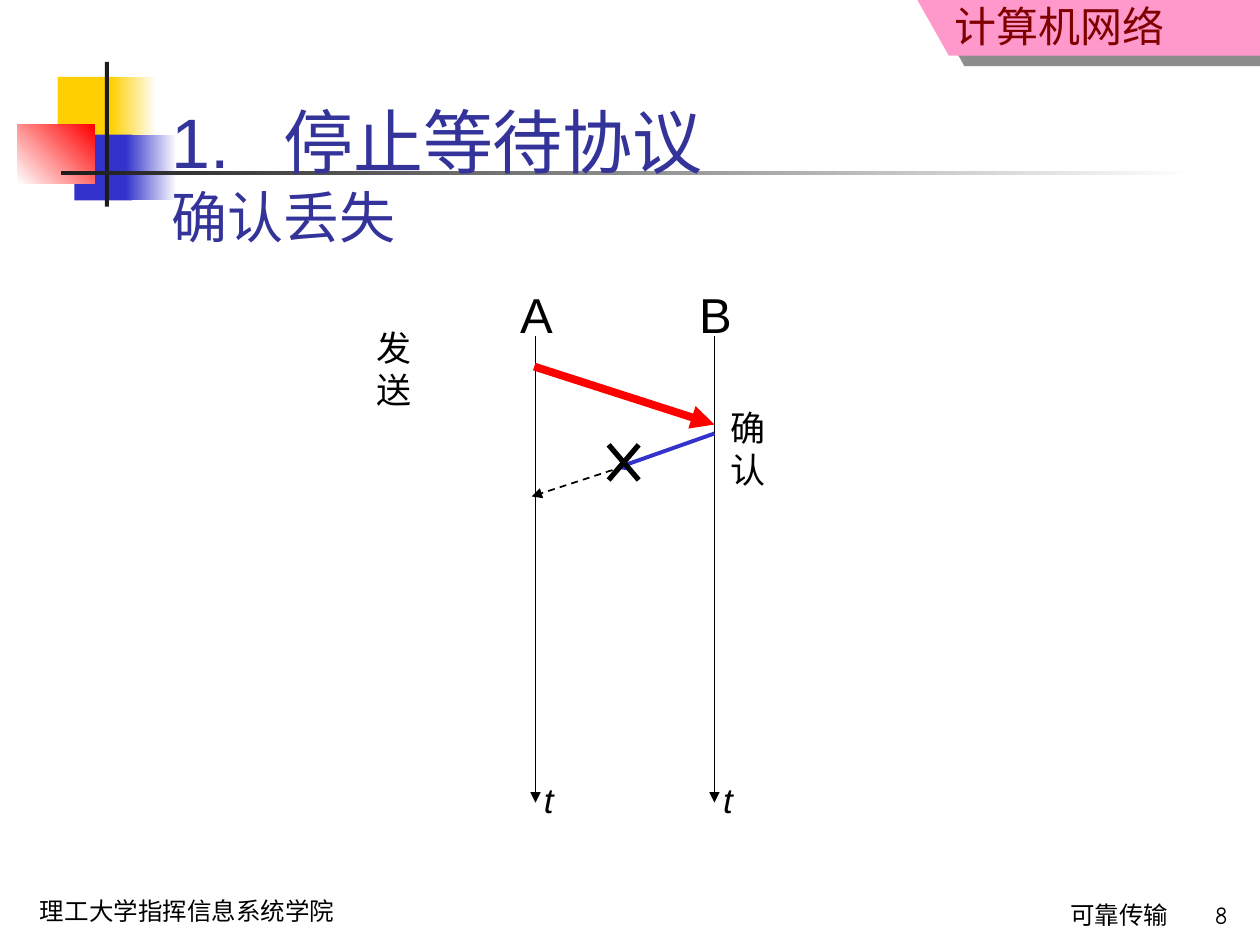
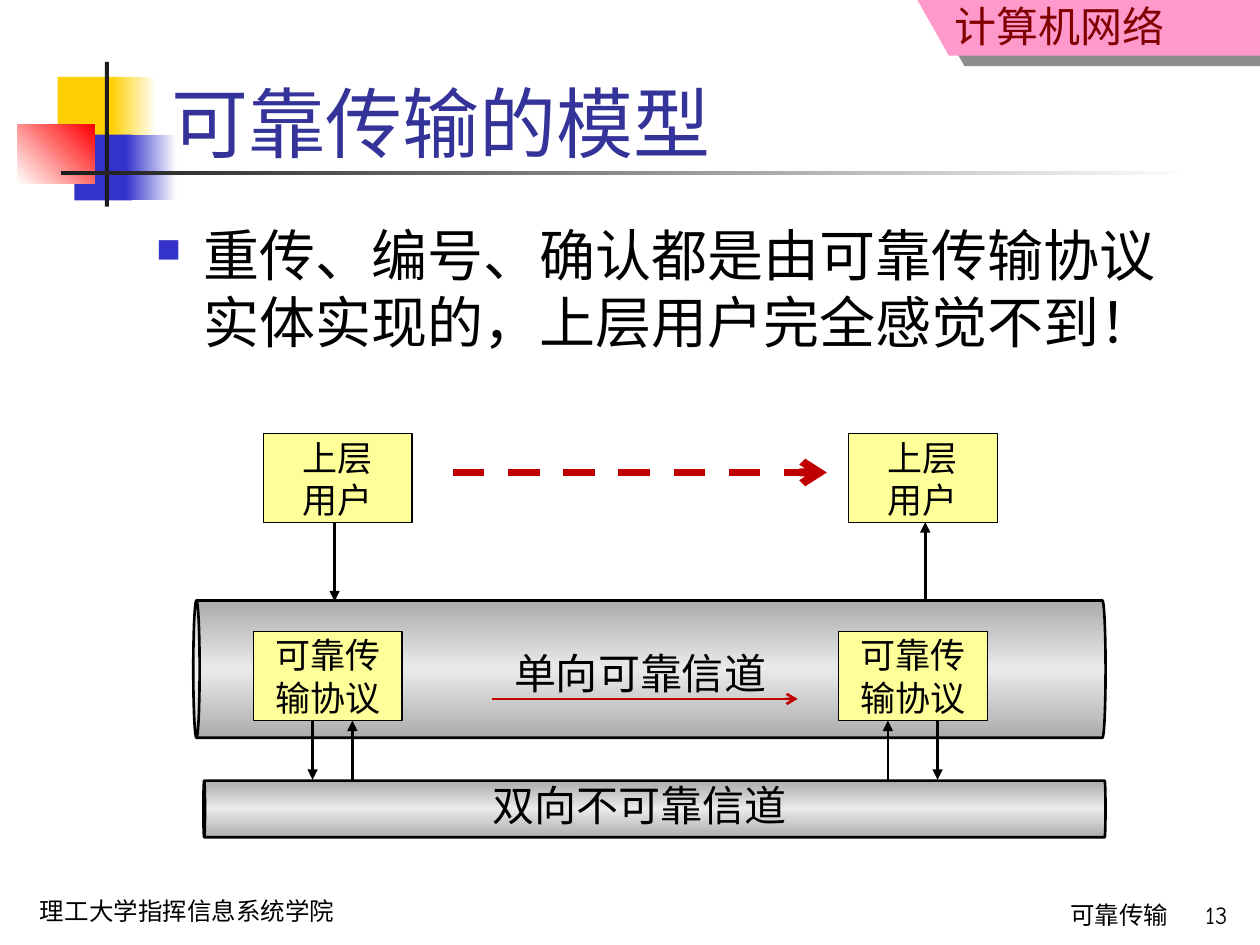
from copy import deepcopy

from lxml.etree import SubElement
from pptx import Presentation
from pptx.dml.color import RGBColor
from pptx.enum.dml import MSO_LINE
from pptx.enum.shapes import MSO_CONNECTOR, MSO_SHAPE
from pptx.enum.text import MSO_ANCHOR, PP_ALIGN
from pptx.oxml.ns import qn
from pptx.util import Pt

BLACK = RGBColor(0x00, 0x00, 0x00)
WHITE = RGBColor(0xFF, 0xFF, 0xFF)
CHARCOAL = RGBColor(0x1C, 0x1C, 0x1C)
PINK = RGBColor(0xFF, 0x99, 0xCC)
MAROON = RGBColor(0x80, 0x00, 0x00)
GOLD = RGBColor(0xFF, 0xCF, 0x01)
BLUE = RGBColor(0x33, 0x33, 0xCC)
TITLE_BLUE = RGBColor(0x33, 0x33, 0x99)
RED = RGBColor(0xFF, 0x00, 0x00)
DARK_RED = RGBColor(0xC0, 0x00, 0x00)
PALE_YELLOW = RGBColor(0xFF, 0xFF, 0x99)
PIPE_EDGE = RGBColor(0xAC, 0xAC, 0xAC)
PIPE_SHINE = RGBColor(0xEA, 0xEA, 0xEA)

SANS, FOOTER_FONT, DIAGRAM_FONT = "Arial", "Comic Neue", "Lato"
CJK_FONT = "Noto Sans CJK SC"


def write_text(box, lines, size, font=SANS, color=BLACK, align=PP_ALIGN.LEFT,
               anchor=MSO_ANCHOR.TOP, wrap=True, italic=False, margin_top=3.6):
    frame = box.text_frame
    frame_format = {"word_wrap": wrap, "vertical_anchor": anchor, "margin_top": Pt(margin_top)}
    for name, value in frame_format.items():
        setattr(frame, name, value)
    for number, line in enumerate(lines):
        para = frame.add_paragraph() if number else frame.paragraphs[0]
        para.alignment = align
        span = para.add_run()
        span.text = line
        span.font.color.rgb = color
        for name, value in {"name": font, "size": Pt(size), "italic": italic}.items():
            setattr(span.font, name, value)
    return frame


def draw_line(page, start, end, color=BLACK, width=1.0, head="triangle", dash=None):
    line = page.shapes.add_connector(MSO_CONNECTOR.STRAIGHT, *map(Pt, start + end))
    line.line.color.rgb = color
    line.line.width = Pt(width)
    if dash:
        line.line.dash_style = dash
    if head:
        SubElement(line.line._get_or_add_ln(), qn("a:tailEnd"), type=head)
    SubElement(line._element.spPr, qn("a:effectLst"))


deck = Presentation()
deck.slide_width, deck.slide_height = Pt(720), Pt(540)

# Corner ornament: left, top, width, height, gradient colours, angle
ornament = [
    (33, 44, 34.5, 37.5, [GOLD], 0),
    (63.4, 44, 26, 37.5, [GOLD, WHITE], 0),
    (42.5, 77, 33, 37.5, [BLUE], 0),
    (72, 77, 29, 37.5, [BLUE, WHITE], 0),
    (10, 71.3, 44, 33.5, [WHITE, RED], 45),
    (60, 35.3, 2.2, 82.8, [CHARCOAL], 0),
    (34.6, 97.7, 648, 2.5, [CHARCOAL, WHITE], 0),
]

# Parts that both pages share
pages = []
for page_number in ("8", "13"):
    page = deck.slides.add_slide(deck.slide_layouts[6])
    pages.append(page)

    # Course banner with its hard shadow
    outline = page.shapes.build_freeform(Pt(524.2), Pt(0), scale=1.0)
    outline.add_line_segments(
        [(Pt(542.2), Pt(31.8)), (Pt(720), Pt(31.8)), (Pt(720), Pt(0))], close=True)
    banner = outline.convert_to_shape()
    banner.fill.solid()
    banner.fill.fore_color.rgb = PINK
    banner.line.fill.background()
    effects = SubElement(banner._element.spPr, qn("a:effectLst"))
    shadow = SubElement(effects, qn("a:outerShdw"), blurRad="0", dist=str(Pt(10.8)),
                        dir=str(34 * 60000), algn="ctr", rotWithShape="0")
    shade = SubElement(shadow, qn("a:srgbClr"), val=str(CHARCOAL))
    SubElement(shade, qn("a:alpha"), val="50000")

    for left, top, width, height, colors, angle in ornament:
        bar = page.shapes.add_shape(MSO_SHAPE.RECTANGLE, *map(Pt, (left, top, width, height)))
        bar.shadow.inherit = False
        bar.line.fill.background()
        if len(colors) == 1:
            bar.fill.solid()
            bar.fill.fore_color.rgb = colors[0]
        else:
            bar.fill.gradient()
            bar.fill.gradient_angle = angle
            for stop, color in zip(bar.fill.gradient_stops, colors):
                stop.color.rgb = color

    # Banner text and footers
    right = PP_ALIGN.RIGHT
    for place, text, text_format in [
        ((524.2, 0, 148.3, 32.4), "计算机网络",
         dict(size=24, font=CJK_FONT, color=MAROON, align=right, margin_top=0)),
        ((15.8, 508.3, 224, 24.5), "理工大学指挥信息系统学院", dict(size=14, font=FOOTER_FONT)),
        ((308.9, 510.5, 365.8, 29.5), "可靠传输", dict(size=14, font=CJK_FONT, align=right)),
        ((651.6, 510.5, 56.9, 27.4), page_number, dict(size=14, font=FOOTER_FONT, align=right)),
    ]:
        write_text(page.shapes.add_textbox(*map(Pt, place)), [text], **text_format)

lost_page, model_page = pages
title_format = dict(color=TITLE_BLUE, anchor=MSO_ANCHOR.BOTTOM)

# Page 1: title with subtitle, number set off by a tab
title = lost_page.shapes.add_textbox(Pt(90.7), Pt(39.6), Pt(613.4), Pt(106.6))
frame = write_text(title, ["1.\t停止等待协议", "确认丢失"], 40, **title_format)
tabs = SubElement(frame.paragraphs[0]._p.get_or_add_pPr(), qn("a:tabLst"))
SubElement(tabs, qn("a:tab"), pos=str(Pt(64)), algn="l")
frame.paragraphs[1].runs[0].font.size = Pt(32)

# Time axes of both stations
for station, axis_x in (("A", 306), ("B", 408.3)):
    draw_line(lost_page, (axis_x, 192.3), (axis_x, 458.6))
    name_box = lost_page.shapes.add_textbox(Pt(axis_x - 16), Pt(159.1), Pt(33), Pt(41))
    write_text(name_box, [station], 28, align=PP_ALIGN.CENTER, wrap=False)
    time_box = lost_page.shapes.add_textbox(Pt(axis_x - 2.2), Pt(441.4), Pt(20), Pt(31))
    write_text(time_box, ["t"], 20, italic=True, wrap=False)

for text, left, top in (("发送", 208, 182.9), ("确认", 410.4, 229)):
    label = lost_page.shapes.add_textbox(Pt(left), Pt(top), Pt(54), Pt(31.7))
    write_text(label, [text], 20, wrap=False)

# Data frame, then the acknowledgement lost at the cross
draw_line(lost_page, (408.3, 247.7), (351.4, 267.8), BLUE, 2.25)
draw_line(lost_page, (350, 268.6), (303.8, 283.7), dash=MSO_LINE.DASH)
for start_x, end_x in ((365, 347.8), (347.8, 365)):
    draw_line(lost_page, (start_x, 254.2), (end_x, 274.3), width=3, head=None)
draw_line(lost_page, (305.3, 209.5), (408.3, 242.6), RED, 4.5)

# Page 2: title and bullet
title = model_page.shapes.add_textbox(Pt(90.7), Pt(16.6), Pt(613.4), Pt(82.8))
write_text(title, ["可靠传输的模型"], 44, **title_format)

body = model_page.shapes.add_textbox(Pt(82.1), Pt(122.4), Pt(612), Pt(90))
frame = write_text(body, ["重传、编号、确认都是由可靠传输协议实体实现的，上层用户完全感觉不到！"], 32)
properties = frame.paragraphs[0]._p.get_or_add_pPr()
properties.set("marL", str(Pt(27)))
properties.set("indent", str(Pt(-27)))
bullet_color = SubElement(properties, qn("a:buClr"))
SubElement(bullet_color, qn("a:srgbClr"), val=str(BLUE))
SubElement(properties, qn("a:buSzPct"), val="60000")
SubElement(properties, qn("a:buChar"), char="■")

# Channels: cans lying on their side, with a shine along the middle
for can_place, roundness, text, text_place in [
    ((331.9, 121.7, 78.5, 521.3), 0.046, "单向可靠信道", (280.8, 366.5, 169.9, 36)),
    ((357.8, 204.5, 32.4, 515.5), 0.029, "双向不可靠信道", (253.4, 442.1, 224.6, 36)),
]:
    can = model_page.shapes.add_shape(MSO_SHAPE.CAN, *map(Pt, can_place))
    can.rotation = 270
    can.adjustments[0] = roundness
    can.shadow.inherit = False
    can.line.color.rgb = BLACK
    can.line.width = Pt(1.5)
    can.fill.gradient()
    can.fill.gradient_angle = 0
    stop_list = can._element.spPr.find(qn("a:gradFill")).find(qn("a:gsLst"))
    stop_list.insert(1, deepcopy(stop_list[0]))
    pipe_colors = (PIPE_EDGE, PIPE_SHINE, PIPE_EDGE)
    for stop, position, color in zip(can.fill.gradient_stops, (0, 0.5, 1), pipe_colors):
        stop.position = position
        stop.color.rgb = color
    label = model_page.shapes.add_textbox(*map(Pt, text_place))
    write_text(label, [text], 24, DIAGRAM_FONT, align=PP_ALIGN.CENTER)

# Users and protocol entities on the sending and receiving sides
for side_x in (0, 334.4):
    for left, top, lines in ((144.7, 360.7, ["可靠传输协议"]), (150.5, 247.7, ["上层", "用户"])):
        entity = model_page.shapes.add_shape(
            MSO_SHAPE.RECTANGLE, Pt(left + side_x), Pt(top), Pt(85), Pt(51.1))
        entity.shadow.inherit = False
        entity.fill.solid()
        entity.fill.fore_color.rgb = PALE_YELLOW
        entity.line.color.rgb = BLACK
        entity.line.width = Pt(0.75)
        write_text(entity, lines, 20, DIAGRAM_FONT, align=PP_ALIGN.CENTER,
                   anchor=MSO_ANCHOR.MIDDLE)

# Vertical arrows between the layers: x, from, to
user_edge, pipe_edge, entity_edge, channel_edge = 298.4, 343.6, 411.8, 445.6
for x, start_y, end_y in [
    (191.2, user_edge, pipe_edge),
    (528.7, pipe_edge, user_edge),
    (178.6, entity_edge, channel_edge),
    (201.4, channel_edge, entity_edge),
    (507.4, channel_edge, entity_edge),
    (535.8, entity_edge, channel_edge),
]:
    draw_line(model_page, (x, start_y), (x, end_y), width=1.5)

# Direction of the data
draw_line(model_page, (281.2, 399.4), (455.8, 399.4), DARK_RED, 1.5, "arrow")
draw_line(model_page, (258.8, 270), (472.5, 270), DARK_RED, 4.5, "arrow", MSO_LINE.DASH)

deck.save("out.pptx")
